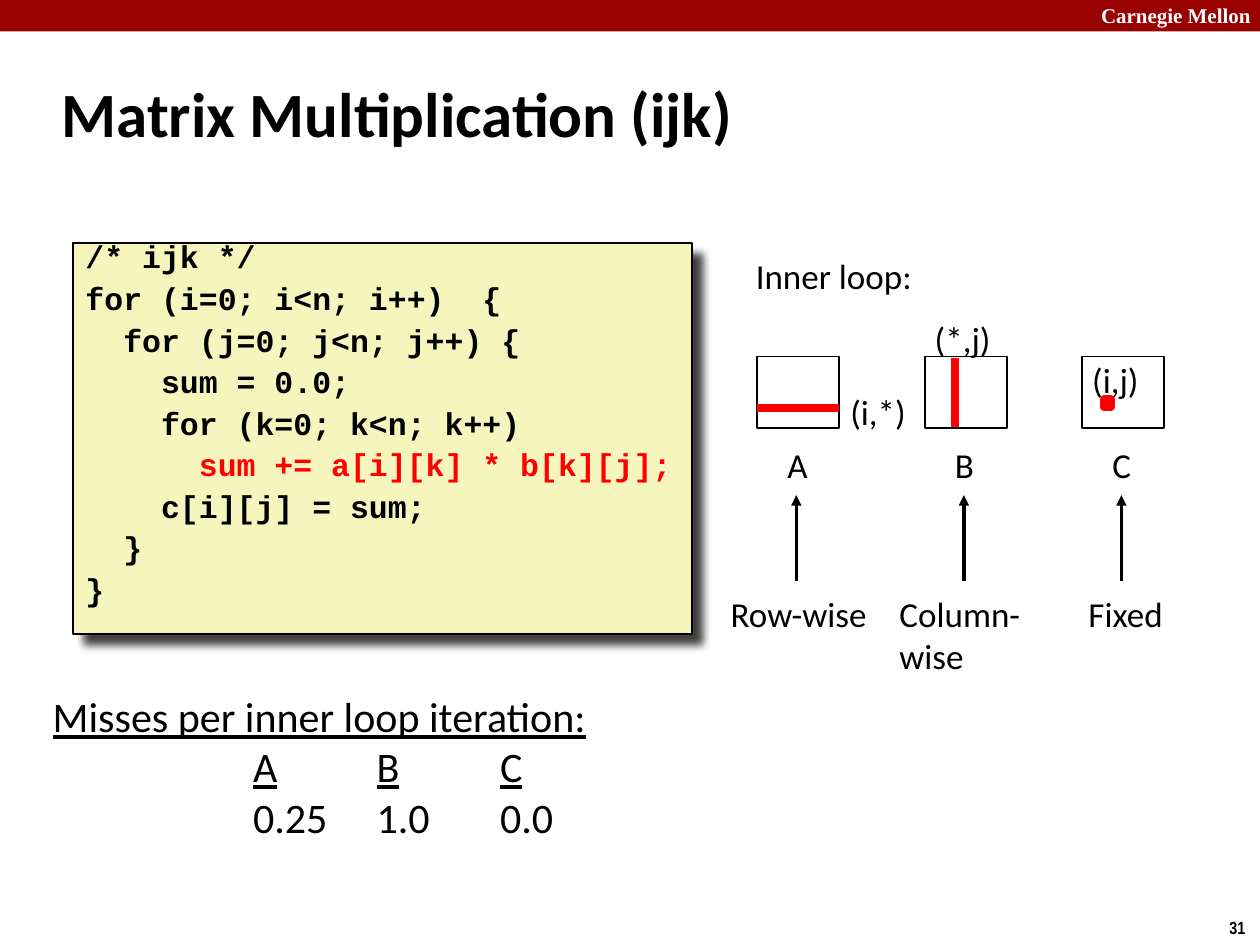
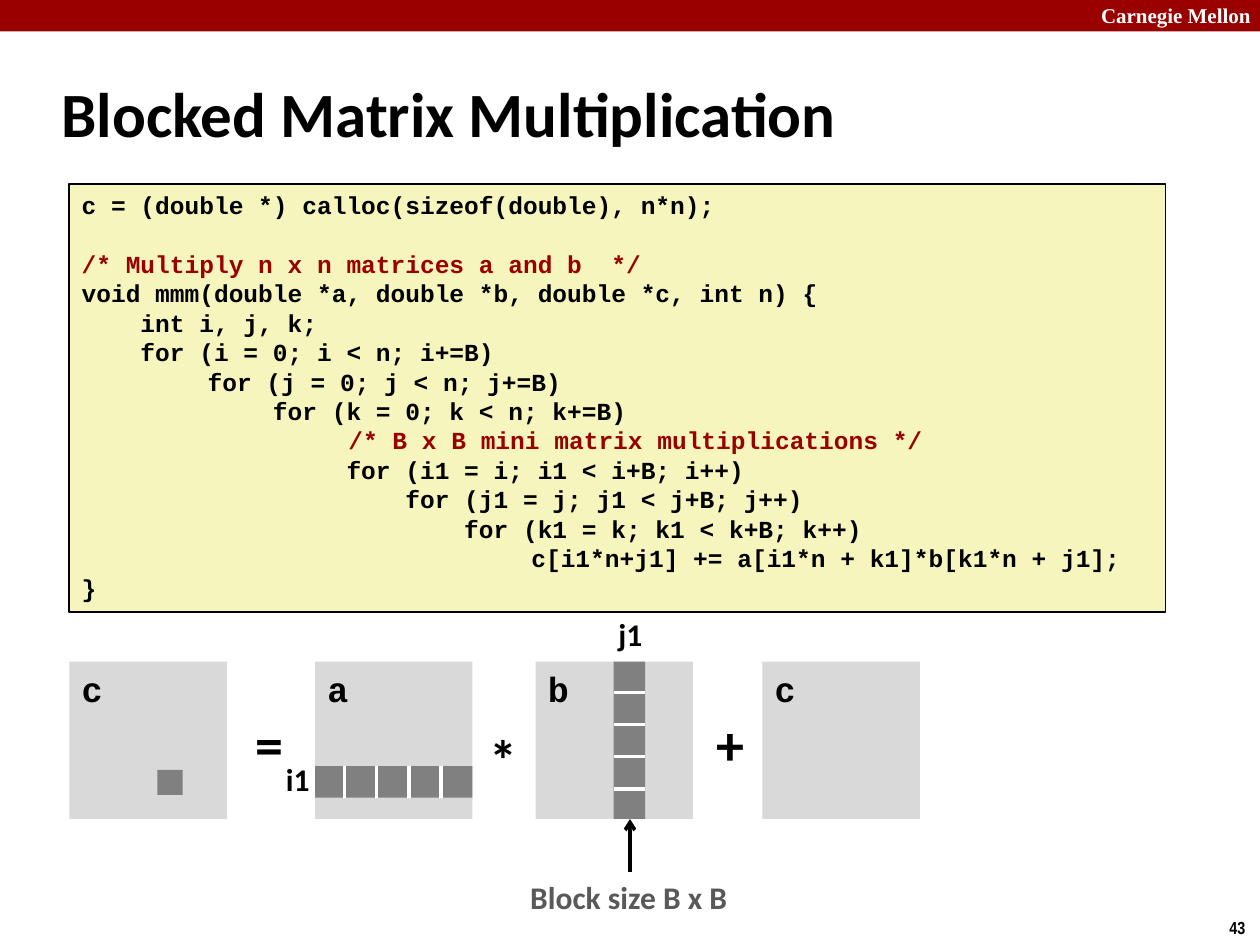
from lxml import etree
from pptx import Presentation
from pptx.dml.color import RGBColor
from pptx.enum.shapes import MSO_CONNECTOR, MSO_SHAPE
from pptx.enum.text import MSO_ANCHOR, PP_ALIGN
from pptx.oxml.ns import qn
from pptx.util import Inches, Pt

RECTANGLE = MSO_SHAPE.RECTANGLE
STRAIGHT = MSO_CONNECTOR.STRAIGHT
TOP, MIDDLE = MSO_ANCHOR.TOP, MSO_ANCHOR.MIDDLE
LEFT = PP_ALIGN.LEFT

BLACK, WHITE, RED, BAND_RED = "000000", "FFFFFF", "FF0000", "990000"
CODE_FILL, MATRIX_GRAY, BLOCK_GRAY, CAPTION_GRAY = "F6F5BD", "D9D9D9", "808080", "595959"

BODY = {"name": "Calibri", "size": 20, "color": BLACK, "bold": False}
TITLE = BODY | {"size": 36, "bold": True}
MISSES = BODY | {"size": 24}
INDEX = BODY | {"size": 18, "bold": True}
OPERATOR = INDEX | {"size": 32}
CODE = {"name": "Courier New", "size": 18, "color": BLACK, "bold": True}
SMALL_CODE = CODE | {"size": 14}
MATRIX_NAME = CODE | {"size": 20}
BRAND = {"name": "Times New Roman", "size": 12, "color": WHITE, "bold": True}
PAGE_NUMBER = {"name": "Arial Narrow", "size": 10, "color": BLACK, "bold": True}

IJK_CODE = [
    "/* ijk */",
    "for (i=0; i<n; i++)  {",
    "  for (j=0; j<n; j++) {",
    "    sum = 0.0;",
    "    for (k=0; k<n; k++)",
    ("      sum += a[i][k] * b[k][j];", RED),
    "    c[i][j] = sum;",
    "  }",
    "}",
]
BLOCKED_CODE = [
    "c = (double *) calloc(sizeof(double), n*n);",
    "",
    ("/* Multiply n x n matrices a and b  */", BAND_RED),
    "void mmm(double *a, double *b, double *c, int n) {",
    "    int i, j, k;",
    "    for (i = 0; i < n; i+=B)",
    "\tfor (j = 0; j < n; j+=B)",
    "             for (k = 0; k < n; k+=B)",
    ("\t\t /* B x B mini matrix multiplications */", BAND_RED),
    "                  for (i1 = i; i1 < i+B; i++)",
    "                      for (j1 = j; j1 < j+B; j++)",
    "                          for (k1 = k; k1 < k+B; k++)",
    "\t                      c[i1*n+j1] += a[i1*n + k1]*b[k1*n + j1];",
    "}",
]

# name, left, index label and its place, access pattern, its left and width
ACCESSES = [
    ("A", 6.01, "(i,*)", (6.65, 3.05, 0.64, 0.43), ["Row-wise"], 5.7, 1.29),
    ("B", 7.34, "(*,j)", (7.32, 2.47, 0.65, 0.43), ["Column-", "wise"], 7.04, 1.17),
    ("C", 8.59, "(i,j)", (8.57, 2.8, 0.57, 0.43), ["Fixed"], 8.54, 0.79),
]
ACCESS_TOP, ACCESS_WIDTH, ACCESS_HEIGHT = 2.83, 0.65, 0.57

UNDERLINED = {"underline": True}
MISS_ROWS = [
    [("Misses per inner loop iteration:", UNDERLINED)],
    [part for name in "ABC" for part in ("\t", (name, UNDERLINED))],
    ["\t0.25\t1.0\t0.0"],
]
MISS_TABS = [1.59, 2.57, 3.55]

MATRICES = [("c", 0.55), ("a", 2.5), ("b", 4.25), ("c", 6.05)]
MATRIX_TOP, MATRIX_SIZE, BLOCK = 5.25, 1.25, 0.25
OPERATORS = [("=", 1.93, 5.58), ("*", 3.79, 5.7), ("+", 5.59, 5.58)]
ROW_LEFT, ROW_TOP, COLUMN_LEFT = 2.5, 6.08, 4.87


def rgb(color):
    return RGBColor.from_string(color)


def apply_font(font, style):
    for key, value in style.items():
        if key == "color":
            font.color.rgb = rgb(value)
        else:
            setattr(font, key, Pt(value) if key == "size" else value)


def add_tabs(paragraph, positions):
    tab_list = etree.SubElement(paragraph._p.get_or_add_pPr(), qn("a:tabLst"))
    for position in positions:
        etree.SubElement(tab_list, qn("a:tab"), pos=str(Inches(position)), algn="l")


def write(shape, paragraphs, style, anchor=TOP, wrap=True, tabs=(), line_spacing=None, gap=None):
    """Fill a shape; a paragraph is a list of strings or (string, font overrides)."""
    frame = shape.text_frame
    frame.word_wrap = wrap
    frame.vertical_anchor = anchor
    for number, parts in enumerate(paragraphs):
        paragraph = frame.paragraphs[0] if number == 0 else frame.add_paragraph()
        paragraph.alignment = LEFT
        if line_spacing:
            paragraph.line_spacing = line_spacing
        if gap and number:
            paragraph.space_before = Pt(gap)
        if tabs:
            add_tabs(paragraph, tabs)
        apply_font(paragraph.font, style)
        for part in parts:
            text, overrides = (part, {}) if isinstance(part, str) else part
            run = paragraph.add_run()
            run.text = text
            apply_font(run.font, style | overrides)


def add_text(slide, box, lines, style, **layout):
    shape = slide.shapes.add_textbox(*map(Inches, box))
    write(shape, [[line] if isinstance(line, str) else line for line in lines],
          style, **layout)


def add_label(slide, box, *lines, style=BODY):
    add_text(slide, box, lines, style, wrap=False)


def add_box(slide, box, fill, line=None, width=1):
    shape = slide.shapes.add_shape(RECTANGLE, *map(Inches, box))
    shape.shadow.inherit = False
    shape.fill.solid()
    shape.fill.fore_color.rgb = rgb(fill)
    if line:
        shape.line.color.rgb = rgb(line)
        shape.line.width = Pt(width)
    else:
        shape.line.fill.background()
    return shape


def add_line(slide, start, end, color, width, arrowhead=None):
    connector = slide.shapes.add_connector(STRAIGHT, *map(Inches, start + end))
    connector.line.color.rgb = rgb(color)
    connector.line.width = Pt(width)
    if arrowhead:
        etree.SubElement(connector.line._get_or_add_ln(), qn("a:tailEnd"), type=arrowhead)
    etree.SubElement(connector._element.spPr, qn("a:effectLst"))


def add_drop_shadow(shape):
    effects = shape._element.spPr.find(qn("a:effectLst"))
    shadow = etree.SubElement(
        effects, qn("a:outerShdw"), blurRad=str(Pt(5)), dist=str(Pt(8.5)),
        dir=str(45 * 60000), algn="tl", rotWithShape="0")
    color = etree.SubElement(shadow, qn("a:srgbClr"), val=BLACK)
    etree.SubElement(color, qn("a:alpha"), val="75000")


def add_code(slide, box, lines, style, **layout):
    shape = add_box(slide, box, CODE_FILL, BLACK)
    paragraphs = []
    for line in lines:
        text, color = (line, BLACK) if isinstance(line, str) else line
        paragraphs.append([(text, {"color": color})] if text else [])
    write(shape, paragraphs, style, **layout)
    return shape


def add_slide(presentation, title, number):
    slide = presentation.slides.add_slide(presentation.slide_layouts[6])
    add_box(slide, (0, 0, 10, 0.25), BAND_RED)
    add_text(slide, (8.64, -0.03, 1.43, 0.3), ["Carnegie Mellon"], BRAND)
    add_label(slide, (9.66, 7.23, 0.34, 0.27), str(number), style=PAGE_NUMBER)
    add_text(slide, (0.39, 0.48, 8.3, 0.83), [title], TITLE, anchor=MIDDLE)
    return slide


def build_ijk(presentation):
    slide = add_slide(presentation, "Matrix Multiplication (ijk)", 31)
    code = add_code(slide, (0.58, 1.93, 4.91, 3.1), IJK_CODE, CODE,
                    line_spacing=0.65, gap=9.7)
    add_drop_shadow(code)
    add_label(slide, (5.9, 1.97, 1.45, 0.43), "Inner loop:")

    for _, left, *_ in ACCESSES:
        add_box(slide, (left, ACCESS_TOP, ACCESS_WIDTH, ACCESS_HEIGHT), WHITE, BLACK)
    add_line(slide, (6.01, 3.24), (6.66, 3.24), RED, 4.5)
    add_line(slide, (7.58, 2.84), (7.58, 3.39), RED, 4.5)
    add_box(slide, (8.76, 3.17, 0.06, 0.06), RED, RED, 4.5)

    for name, left, index, index_box, pattern, pattern_left, pattern_width in ACCESSES:
        add_label(slide, index_box, index)
        add_label(slide, (left + 0.14, 3.47, 0.36, 0.43), name)
        arrow_x = left + 0.31
        add_line(slide, (arrow_x, 4.61), (arrow_x, 3.93), BLACK, 2, "triangle")
        height = 0.43 + 0.34 * (len(pattern) - 1)
        add_label(slide, (pattern_left, 4.65, pattern_width, height), *pattern)

    add_text(slide, (0.32, 5.43, 5.55, 1.33), MISS_ROWS, MISSES, tabs=MISS_TABS)


def build_blocked(presentation):
    slide = add_slide(presentation, "Blocked Matrix Multiplication", 43)
    add_code(slide, (0.55, 1.46, 8.7, 3.4), BLOCKED_CODE, SMALL_CODE, tabs=[1, 2])

    for name, left in MATRICES:
        matrix = add_box(slide, (left, MATRIX_TOP, MATRIX_SIZE, MATRIX_SIZE), MATRIX_GRAY)
        write(matrix, [[name]], MATRIX_NAME)
    for symbol, left, top in OPERATORS:
        add_label(slide, (left, top, 0.43, 0.64), symbol, style=OPERATOR)

    add_box(slide, (1.25, 6.11, 0.2, 0.2), BLOCK_GRAY)
    add_box(slide, (ROW_LEFT, ROW_TOP, MATRIX_SIZE, BLOCK), BLOCK_GRAY)
    add_box(slide, (COLUMN_LEFT, MATRIX_TOP, BLOCK, MATRIX_SIZE), BLOCK_GRAY)
    for step in range(1, 5):
        x = ROW_LEFT - 0.02 + step * 0.255
        y = MATRIX_TOP - 0.01 + step * 0.255
        add_line(slide, (x, ROW_TOP), (x, ROW_TOP + BLOCK), WHITE, 2)
        add_line(slide, (COLUMN_LEFT, y), (COLUMN_LEFT + BLOCK, y), WHITE, 2)

    add_label(slide, (2.17, 5.98, 0.39, 0.4), "i1", style=INDEX)
    add_label(slide, (4.81, 4.83, 0.39, 0.4), "j1", style=INDEX)
    add_label(slide, (4.11, 6.92, 1.78, 0.4), "Block size B x B",
              style=INDEX | {"color": CAPTION_GRAY})
    add_line(slide, (5, 6.92), (5, 6.5), BLACK, 2, "arrow")


def main():
    presentation = Presentation()
    presentation.slide_width = Inches(10)
    presentation.slide_height = Inches(7.5)
    build_ijk(presentation)
    build_blocked(presentation)
    presentation.save("out.pptx")


if __name__ == "__main__":
    main()
